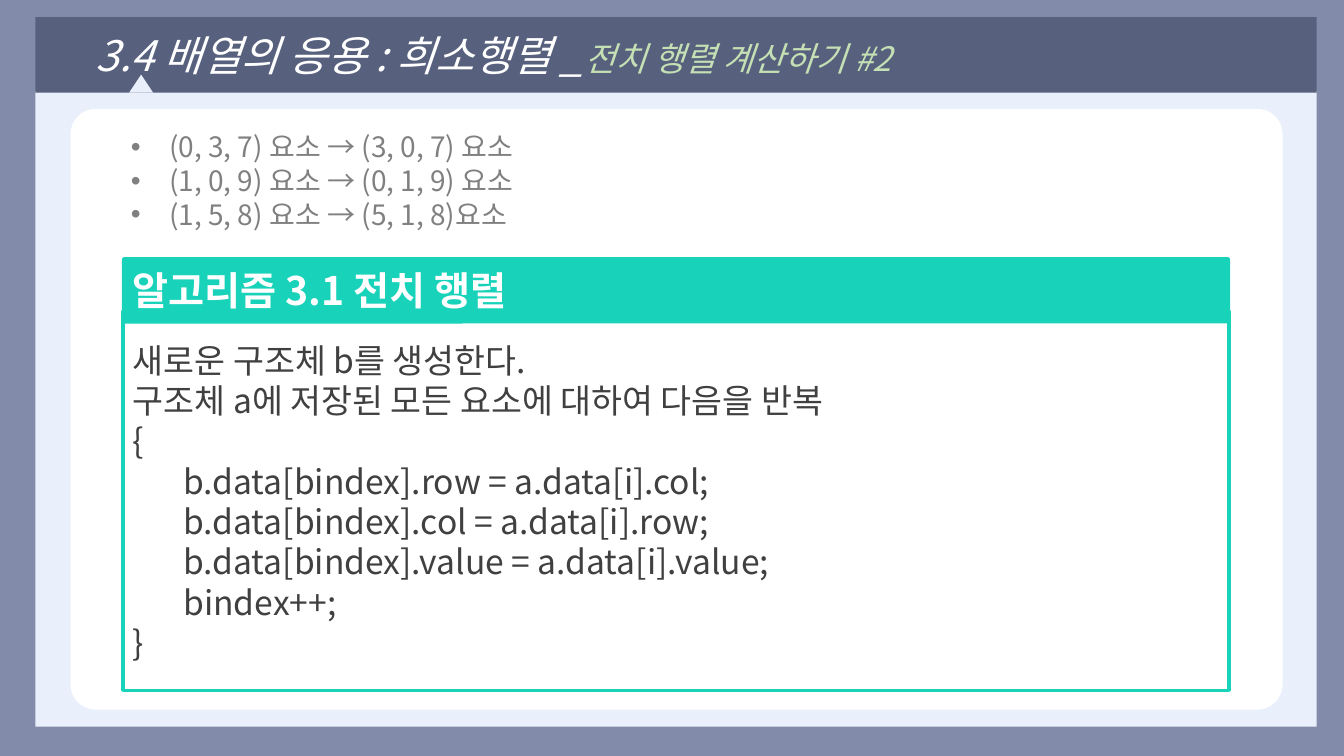
import pptx
import pptx.util
import pptx.dml.color
import pptx.enum.shapes
import pptx.enum.text
import lxml.etree

Inches = pptx.util.Inches
Pt = pptx.util.Pt
Kind = pptx.enum.shapes.MSO_SHAPE
Align = pptx.enum.text.PP_ALIGN
Anchor = pptx.enum.text.MSO_ANCHOR
Fit = pptx.enum.text.MSO_AUTO_SIZE
Rgb = pptx.dml.color.RGBColor.from_string
FACE = "Noto Sans CJK KR"
NS = "{http://schemas.openxmlformats.org/drawingml/2006/main}"
COLORS = {
    "back": "828BAA",
    "panel": "E9EFFB",
    "white": "FFFFFF",
    "bar": "57607D",
    "green": "C5E0B4",
    "teal": "18D2BA",
    "code": "404040",
    "gray": "808080",
}


def add_box(shapes, kind, box, color):
    shape = shapes.add_shape(kind, *[Inches(n) for n in box])
    shape.shadow.inherit = False
    shape.fill.solid()
    shape.fill.fore_color.rgb = Rgb(COLORS[color])
    shape.line.fill.background()
    if kind == Kind.ROUNDED_RECTANGLE:
        shape.adjustments[0] = 0.042
    return shape


def set_font(font, size, color, bold=False, italic=False):
    font.size = Pt(size)
    font.bold = bold
    font.italic = italic
    font.color.rgb = Rgb(COLORS[color])
    font.name = FACE
    lxml.etree.SubElement(font._element, NS + "ea", typeface=FACE)


deck = pptx.Presentation()
deck.slide_width = Inches(13.33)
deck.slide_height = Inches(7.5)
slide = deck.slides.add_slide(deck.slide_layouts[5])
slide.background.fill.solid()
slide.background.fill.fore_color.rgb = Rgb(COLORS["back"])
shapes = slide.shapes

add_box(shapes, Kind.RECTANGLE, (0.35, 0.9, 12.71, 6.31), "panel")
card = add_box(shapes, Kind.ROUNDED_RECTANGLE, (0.7, 1.08, 12.02, 5.96), "white")

title = shapes.title
title.left, title.top = Inches(0.35), Inches(0.17)
title.width, title.height = Inches(12.71), Inches(0.75)
title.fill.solid()
title.fill.fore_color.rgb = Rgb(COLORS["bar"])
frame = title.text_frame
frame.auto_size = Fit.NONE
frame.vertical_anchor = Anchor.MIDDLE
head = frame.paragraphs[0]
head.alignment = Align.LEFT
head._p.get_or_add_pPr().set("marL", str(Inches(0.5)))
for text, size, color in [
    ("3.4 배열의 응용 : 희소행렬 _", 30, "white"),
    ("전치 행렬 계산하기 #2", 24, "green"),
]:
    run = head.add_run()
    run.text = text
    set_font(run.font, size, color, italic=True)
card.element.addnext(title.element)

add_box(shapes, Kind.ISOSCELES_TRIANGLE, (1.28, 0.74, 0.24, 0.18), "panel")

group = shapes.add_group_shape()
body = add_box(group.shapes, Kind.RECTANGLE, (1.22, 3.09, 10.97, 3.76), "white")
body.line.color.rgb = Rgb(COLORS["teal"])
body.line.width = Pt(2.25)
label = add_box(group.shapes, Kind.ROUNDED_RECTANGLE, (1.21, 2.55, 10.99, 0.66), "teal")
steps = [
    "새로운 구조체 b를 생성한다.",
    "구조체 a에 저장된 모든 요소에 대하여 다음을 반복",
    "{",
    "\tb.data[bindex].row = a.data[i].col;",
    "\tb.data[bindex].col = a.data[i].row;",
    "\tb.data[bindex].value = a.data[i].value;",
    "\tbindex++;",
    "}",
]
for shape, lines, size, color, bold in [
    (body, steps, 24, "code", False),
    (label, ["알고리즘 3.1 전치 행렬"], 28, "white", True),
]:
    frame = shape.text_frame
    frame.vertical_anchor = Anchor.MIDDLE
    frame.text = "\n".join(lines)
    for para in frame.paragraphs:
        para.alignment = Align.LEFT
        set_font(para.font, size, color, bold)

notes = shapes.add_textbox(Inches(0.7), Inches(1.24), Inches(12.02), Inches(1.11))
frame = notes.text_frame
frame.word_wrap = True
frame.auto_size = Fit.SHAPE_TO_FIT_TEXT
frame.text = "\n".join([
    "(0, 3, 7) 요소 → (3, 0, 7) 요소",
    "(1, 0, 9) 요소 → (0, 1, 9) 요소",
    "(1, 5, 8) 요소 → (5, 1, 8)요소",
])
for para in frame.paragraphs:
    props = para._p.get_or_add_pPr()
    props.set("marL", str(Inches(0.88)))
    props.set("indent", str(Inches(-0.38)))
    lxml.etree.SubElement(props, NS + "buFont", typeface="Arial")
    lxml.etree.SubElement(props, NS + "buChar", char="•")
    set_font(para.font, 20, "gray")

deck.save("out.pptx")
